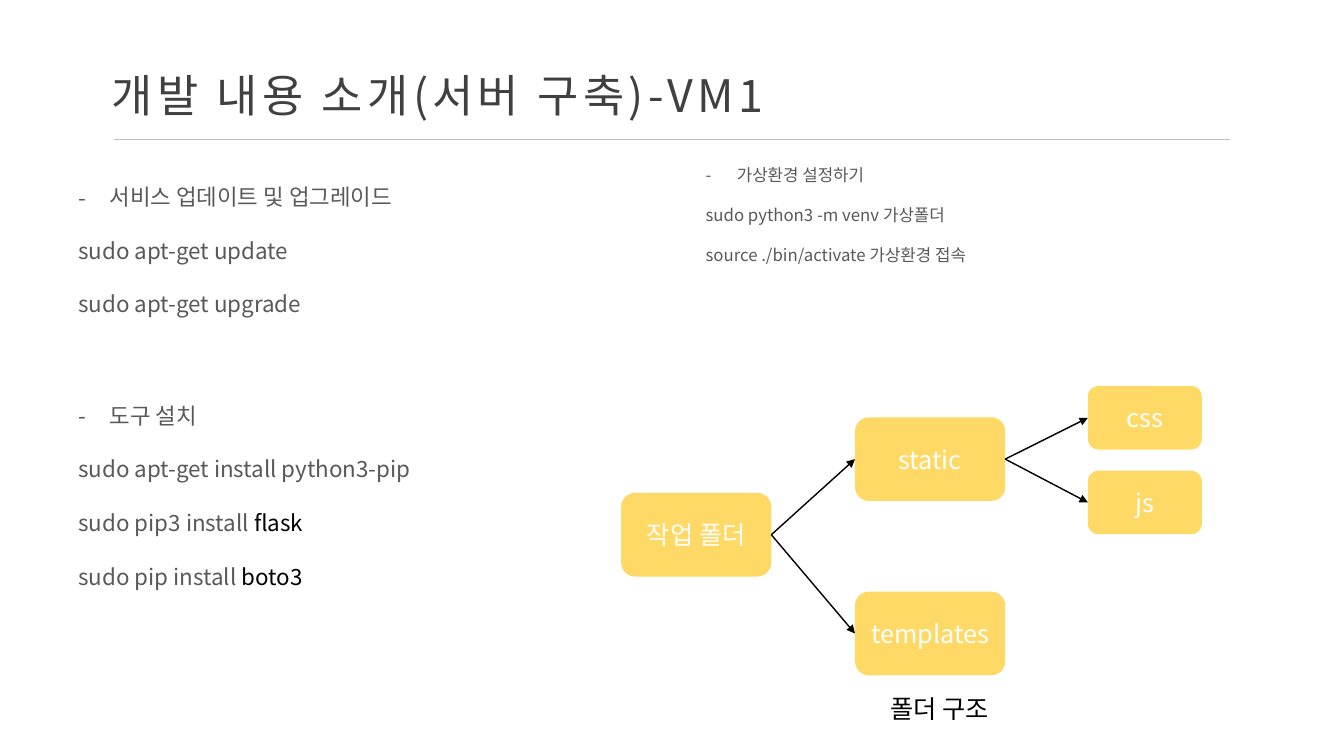
from lxml.etree import SubElement
from pptx import Presentation
from pptx.dml.color import RGBColor
from pptx.enum.shapes import MSO_CONNECTOR as Connector, MSO_SHAPE as Shape
from pptx.enum.text import MSO_ANCHOR as Anchor, MSO_AUTO_SIZE as AutoSize, PP_ALIGN as Align
from pptx.oxml.ns import qn
from pptx.util import Inches, Pt

GRAY, BLACK, WHITE, YELLOW = "595959", "000000", "FFFFFF", "FFD966"
TOP_LEFT, RIGHT_SIDE = 1, 3


def color(value):
    return RGBColor.from_string(value)


class SlideBuilder:
    font_name = "Noto Sans CJK KR"

    def __init__(self, page):
        self.page = page

    def style(self, para, size, shade, spacing=None):
        font = para.font
        font.name = self.font_name
        font.size = Pt(size)
        font.color.rgb = color(shade)
        properties = para._p.pPr.find(qn("a:defRPr"))
        SubElement(properties, qn("a:ea"), typeface=self.font_name)
        if spacing:
            properties.set("spc", str(spacing * 100))

    def text_box(self, left, top, width, height):
        box = self.page.shapes.add_textbox(*map(Inches, (left, top, width, height)))
        box.text_frame.word_wrap = True
        box.text_frame.auto_size = AutoSize.SHAPE_TO_FIT_TEXT
        return box.text_frame

    def label(self, place, text, size, shade, align=Align.LEFT, spacing=None):
        para = self.text_box(*place).paragraphs[0]
        para.text = text
        para.alignment = align
        self.style(para, size, shade, spacing)

    def steps(self, place, heading, commands, size):
        frame = self.text_box(*place)
        for index, (command, package) in enumerate([(heading, "")] + commands):
            para = frame.add_paragraph() if index else frame.paragraphs[0]
            para.line_spacing = 2.0
            if index == 0:
                properties = para._p.get_or_add_pPr()
                properties.set("marL", str(Inches(0.31)))
                properties.set("indent", str(Inches(-0.31)))
                SubElement(properties, qn("a:buFont"), typeface=self.font_name)
                SubElement(properties, qn("a:buChar"), char="-")
            self.style(para, size, GRAY)
            para.add_run().text = command
            if package:
                span = para.add_run()
                span.text = package
                span.font.color.rgb = color(BLACK)

    def folder(self, text, left, top, width, height):
        box = self.page.shapes.add_shape(
            Shape.ROUNDED_RECTANGLE, *map(Inches, (left, top, width, height)))
        box.shadow.inherit = False
        box.fill.solid()
        box.fill.fore_color.rgb = color(YELLOW)
        box.line.fill.background()
        box.text_frame.vertical_anchor = Anchor.MIDDLE
        para = box.text_frame.paragraphs[0]
        para.text = text
        para.alignment = Align.CENTER
        self.style(para, 18, WHITE)
        return box

    def line(self, start, end, shade, width):
        connector = self.page.shapes.add_connector(
            Connector.STRAIGHT, *map(Inches, start + end))
        connector.line.color.rgb = color(shade)
        connector.line.width = Pt(width)
        SubElement(connector._element.spPr, qn("a:effectLst"))
        return connector

    def arrow(self, parent, child):
        connector = self.line((0, 0), (1, 1), BLACK, 1)
        connector.begin_connect(parent, RIGHT_SIDE)
        connector.end_connect(child, TOP_LEFT)
        SubElement(connector.line._get_or_add_ln(), qn("a:tailEnd"), type="triangle")


def main():
    deck = Presentation()
    deck.slide_width, deck.slide_height = Inches(13.33), Inches(7.5)
    builder = SlideBuilder(deck.slides.add_slide(deck.slide_layouts[6]))

    builder.line((1.13, 1.38), (12.2, 1.38), "BFBFBF", 0.5)
    builder.label((1.01, 0.62, 7.47, 0.64), "개발 내용 소개(서버 구축)-VM1", 32, "404040", spacing=3)

    builder.steps((0.68, 1.5, 4.65, 2.26), "서비스 업데이트 및 업그레이드", [
        ("sudo apt-get update", ""),
        ("sudo apt-get upgrade", ""),
    ], 16)
    builder.steps((0.68, 3.67, 5.2, 2.26), "도구 설치", [
        ("sudo apt-get install python3-pip", ""),
        ("sudo pip3 install ", "flask"),
        ("sudo pip install ", "boto3"),
    ], 16)
    builder.steps((6.9, 1.38, 5.3, 1.31), "가상환경 설정하기", [
        ("sudo python3 -m venv 가상폴더", ""),
        ("source ./bin/activate 가상환경 접속", ""),
    ], 12)

    large, small = (1.49, 0.83), (1.13, 0.63)
    work = builder.folder("작업 폴더", 6.16, 4.89, *large)
    static = builder.folder("static", 8.48, 4.14, *large)
    templates = builder.folder("templates", 8.48, 5.87, *large)
    css = builder.folder("css", 10.79, 3.83, *small)
    js = builder.folder("js", 10.79, 4.67, *small)
    for parent, child in [(work, static), (work, templates), (static, css), (static, js)]:
        builder.arrow(parent, child)

    builder.label((7.14, 6.83, 4.35, 0.4), "폴더 구조", 18, BLACK, Align.CENTER)
    deck.save("out.pptx")


if __name__ == "__main__":
    main()
